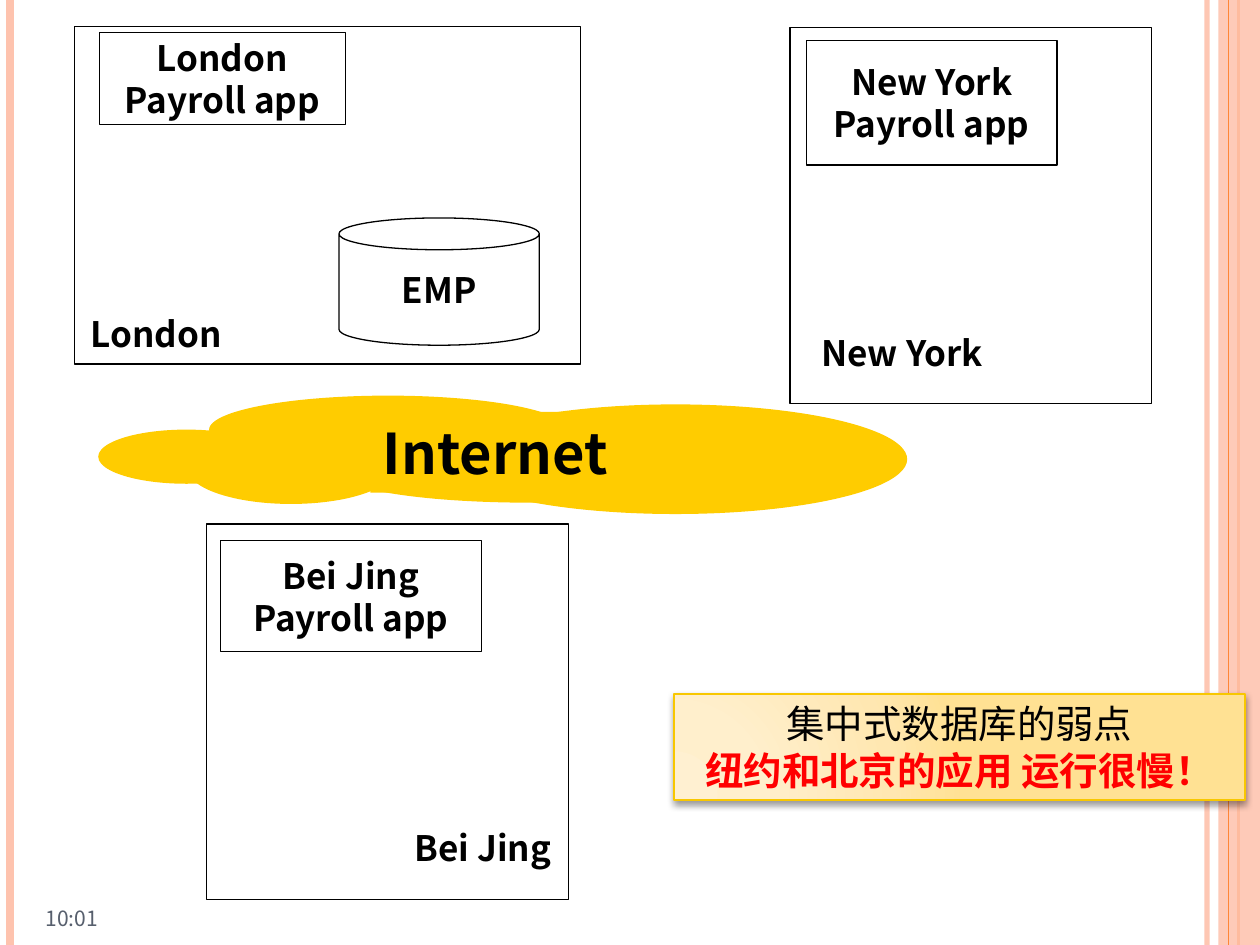
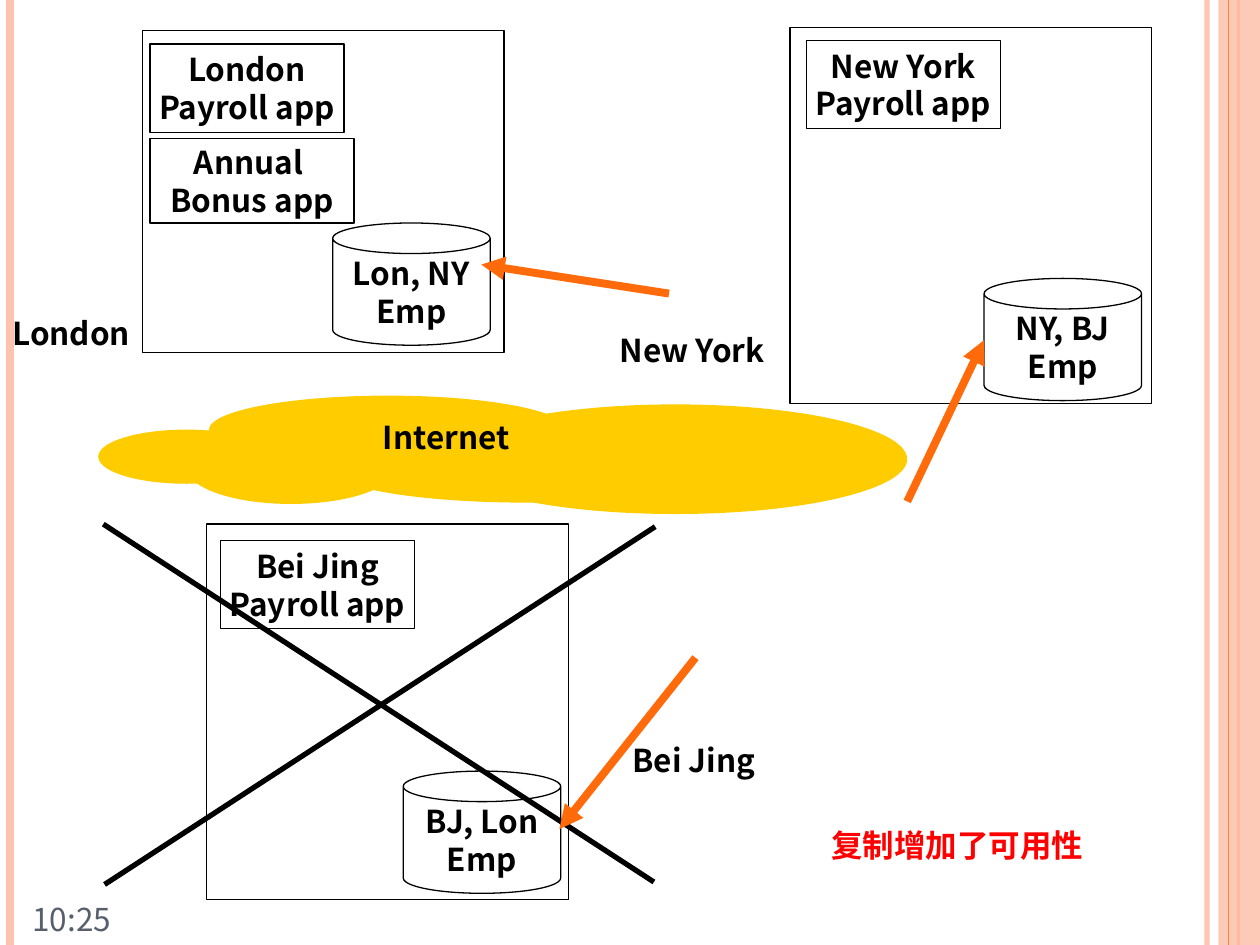
from lxml import etree
from pptx import Presentation
from pptx.dml.color import RGBColor
from pptx.enum import shapes, text
from pptx.oxml import parse_xml
from pptx.oxml.ns import nsdecls, qn
from pptx.util import Inches, Pt

FONT = "Noto Sans CJK SC"
BLACK = RGBColor(0x00, 0x00, 0x00)
WHITE = RGBColor(0xFF, 0xFF, 0xFF)
RED = RGBColor(0xFF, 0x00, 0x00)
SLATE = RGBColor(0x57, 0x5F, 0x6D)
PEACH = RGBColor(0xFE, 0xC3, 0xAE)
ORANGE = RGBColor(0xFE, 0x86, 0x37)
ARROW = RGBColor(0xFF, 0x6B, 0x0A)
CLOUD = RGBColor(0xFF, 0xCC, 0x00)
GOLD = RGBColor(0xF8, 0xC7, 0x00)
CALLOUT_STOPS = [(0, "FFF0D1"), (30, "FFEFCC"), (75, "FFE7B1"), (100, "FFE193")]

CLOUD_PUFFS = [
    (0.78, 3.41, 1.4, 0.43),
    (1.49, 3.44, 1.64, 0.56),
    (1.66, 3.14, 2.84, 0.54),
    (2.68, 3.51, 3.05, 0.48),
    (3.52, 3.21, 3.68, 0.87),
]
NEW_YORK_SITE = (6.27, 0.22, 2.87, 2.98)
BEIJING_SITE = (1.64, 4.16, 2.87, 2.98)


def write(sp, lines, size=18, bold=True, color=BLACK, center=True,
          middle=True, wrap=False, grow=False):
    """Fill a shape with one paragraph per line."""
    tf = sp.text_frame
    tf.word_wrap = wrap
    tf.vertical_anchor = text.MSO_ANCHOR.MIDDLE if middle else text.MSO_ANCHOR.TOP
    if grow:
        tf.auto_size = text.MSO_AUTO_SIZE.SHAPE_TO_FIT_TEXT
    for i, line in enumerate(lines):
        p = tf.paragraphs[0] if i == 0 else tf.add_paragraph()
        p.alignment = text.PP_ALIGN.CENTER if center else text.PP_ALIGN.LEFT
        r = p.add_run()
        r.text = line
        r.font.name, r.font.size, r.font.bold = FONT, Pt(size), bold
        r.font.color.rgb = color
        ea = etree.SubElement(r.font._element, qn("a:ea"))
        ea.set("typeface", FONT)
    return tf


def set_alpha(element, percent):
    for color in element.iter(qn("a:srgbClr")):
        etree.SubElement(color, qn("a:alpha")).set("val", str(percent * 1000))


class Deck:
    def __init__(self, size=18):
        self.prs = Presentation()
        self.prs.slide_width, self.prs.slide_height = Inches(10), Inches(7.5)
        self.size = size
        self.s = None

    def new_slide(self, size):
        self.size = size
        self.s = self.prs.slides.add_slide(self.prs.slide_layouts[6])
        self.side_bands()

    def shape(self, kind, box, fill=None, line=None, weight=0.75):
        sp = self.s.shapes.add_shape(kind, *map(Inches, box))
        sp.shadow.inherit = False
        if fill is None:
            sp.fill.background()
        else:
            sp.fill.solid()
            sp.fill.fore_color.rgb = fill
        if line is None:
            sp.line.fill.background()
        else:
            sp.line.color.rgb = line
            sp.line.width = Pt(weight)
        return sp

    def line(self, start, end, color, weight, arrow=False, alpha=None):
        c = self.s.shapes.add_connector(
            shapes.MSO_CONNECTOR.STRAIGHT, *map(Inches, (*start, *end)))
        c.line.color.rgb = color
        c.line.width = Pt(weight)
        if alpha:
            set_alpha(c.line._get_or_add_ln(), alpha)
        if arrow:
            tail = etree.SubElement(c.line._get_or_add_ln(), qn("a:tailEnd"))
            tail.set("type", "triangle")
        etree.SubElement(c._element.spPr, qn("a:effectLst"))

    def label(self, words, box, **style):
        style = {"size": self.size, "center": False, "middle": False,
                 "grow": True, **style}
        write(self.s.shapes.add_textbox(*map(Inches, box)), [words], **style)

    def app(self, lines, box):
        sp = self.shape(shapes.MSO_SHAPE.RECTANGLE, box, WHITE, BLACK)
        write(sp, lines, self.size)

    def database(self, lines, box):
        sp = self.shape(shapes.MSO_SHAPE.CAN, box, WHITE, BLACK)
        sp.adjustments[0] = 0.25
        write(sp, lines, self.size)

    def site(self, name, frame, app_box, name_box):
        self.app([name, "Payroll app"], app_box)
        self.shape(shapes.MSO_SHAPE.RECTANGLE, frame, line=BLACK)
        self.label(name, name_box)

    def side_bands(self):
        def rule(x, color, weight, alpha=None):
            self.line((x, 0), (x, 7.5), color, weight, alpha=alpha)

        rule(9.58, PEACH, 3, alpha=93)
        rule(0.08, PEACH, 4.5)
        rule(9.83, ORANGE, 1.5)
        band = self.shape(shapes.MSO_SHAPE.RECTANGLE, (9.67, 0, 0.33, 7.5), PEACH)
        set_alpha(band._element.spPr, 87)
        rule(9.75, ORANGE, 0.75)

    def internet(self, width, height, size):
        parts = [self.shape(shapes.MSO_SHAPE.OVAL, box, CLOUD) for box in CLOUD_PUFFS]
        name = self.shape(shapes.MSO_SHAPE.RECTANGLE, (2.94, 3.27, width, height), CLOUD)
        write(name, ["Internet"], size, center=False, middle=False, grow=True)
        self.s.shapes.add_group_shape(parts + [name])

    def callout(self, heading, warning, box):
        sp = self.shape(shapes.MSO_SHAPE.RECTANGLE, box, WHITE, GOLD, 1)
        tf = write(sp, [heading, warning], 22, bold=False, middle=False,
                   wrap=True, grow=True)
        font = tf.paragraphs[1].runs[0].font
        font.bold, font.color.rgb = True, RED
        # Radial gradient and soft shadow
        stops = "".join(f'<a:gs pos="{pos * 1000}"><a:srgbClr val="{c}"/></a:gs>'
                        for pos, c in CALLOUT_STOPS)
        spPr = sp._element.spPr
        spPr.replace(spPr.find(qn("a:solidFill")), parse_xml(
            f'<a:gradFill {nsdecls("a")} rotWithShape="1"><a:gsLst>{stops}</a:gsLst>'
            '<a:path path="circle"><a:fillToRect l="5000" t="100000" r="120000" '
            'b="10000"/></a:path></a:gradFill>'))
        spPr.find(qn("a:effectLst")).append(parse_xml(
            f'<a:outerShdw {nsdecls("a")} blurRad="{Pt(4)}" dist="{Pt(2)}" '
            'dir="5400000" rotWithShape="0"><a:srgbClr val="000000">'
            '<a:alpha val="40000"/></a:srgbClr></a:outerShdw>'))

    def clock(self, time, size):
        self.label(time, (0, 7.08, 1.14, 0.42), size=size, bold=False, color=SLATE,
                   center=True, middle=True, wrap=True, grow=False)


def centralized_slide(deck):
    deck.new_slide(size=20)
    deck.internet(2.02, 0.64, 32)
    deck.database(["EMP"], (2.69, 1.73, 1.59, 1.01))
    deck.site("London", (0.59, 0.21, 4.02, 2.68), (0.79, 0.26, 1.95, 0.73),
              (0.62, 2.43, 1.28, 0.44))
    deck.site("New York", NEW_YORK_SITE, (6.4, 0.32, 1.99, 0.99),
              (6.42, 2.58, 1.55, 0.44))
    deck.site("Bei Jing", BEIJING_SITE, (1.75, 4.29, 2.07, 0.88),
              (3.19, 6.51, 1.3, 0.44))
    deck.callout("集中式数据库的弱点", "纽约和北京的应用 运行很慢！",
                 (5.35, 5.51, 4.53, 0.84))
    deck.clock("10:01", 12)


def replicated_slide(deck):
    deck.new_slide(size=18)
    deck.internet(1.22, 0.4, 18)

    # Sites
    app_size = (1.54, 0.7)
    deck.site("London", (1.13, 0.24, 2.87, 2.56), (1.19, 0.35, *app_size),
              (0, 2.44, 1.17, 0.4))
    deck.app(["Annual ", "Bonus app"], (1.19, 1.1, 1.62, 0.67))
    deck.site("New York", NEW_YORK_SITE, (6.4, 0.32, *app_size),
              (4.82, 2.58, 1.42, 0.4))
    deck.site("Bei Jing", BEIJING_SITE, (1.75, 4.29, *app_size),
              (4.92, 5.83, 1.2, 0.4))

    # Replicated fragments
    for cities, x, y in [("Lon, NY", 2.64, 1.77), ("NY, BJ", 7.81, 2.21),
                         ("BJ, Lon", 3.2, 6.12)]:
        deck.database([cities, "Emp"], (x, y, 1.25, 0.97))

    # Failed site crossed out
    deck.line((0.82, 4.16), (5.19, 7), BLACK, 3)
    deck.line((0.83, 7.02), (5.2, 4.18), BLACK, 3)

    deck.label("复制增加了可用性", (6.5, 6.51, 2.22, 0.4), color=RED)
    deck.clock("10:25", 18)

    # Arrows to the databases
    for start, end in [((5.31, 2.33), (3.82, 2.1)), ((7.2, 3.98), (7.81, 2.7)),
                       ((5.52, 5.22), (4.44, 6.58))]:
        deck.line(start, end, ARROW, 4.5, arrow=True)


def main():
    deck = Deck()
    centralized_slide(deck)
    replicated_slide(deck)
    deck.prs.save("out.pptx")


if __name__ == "__main__":
    main()
